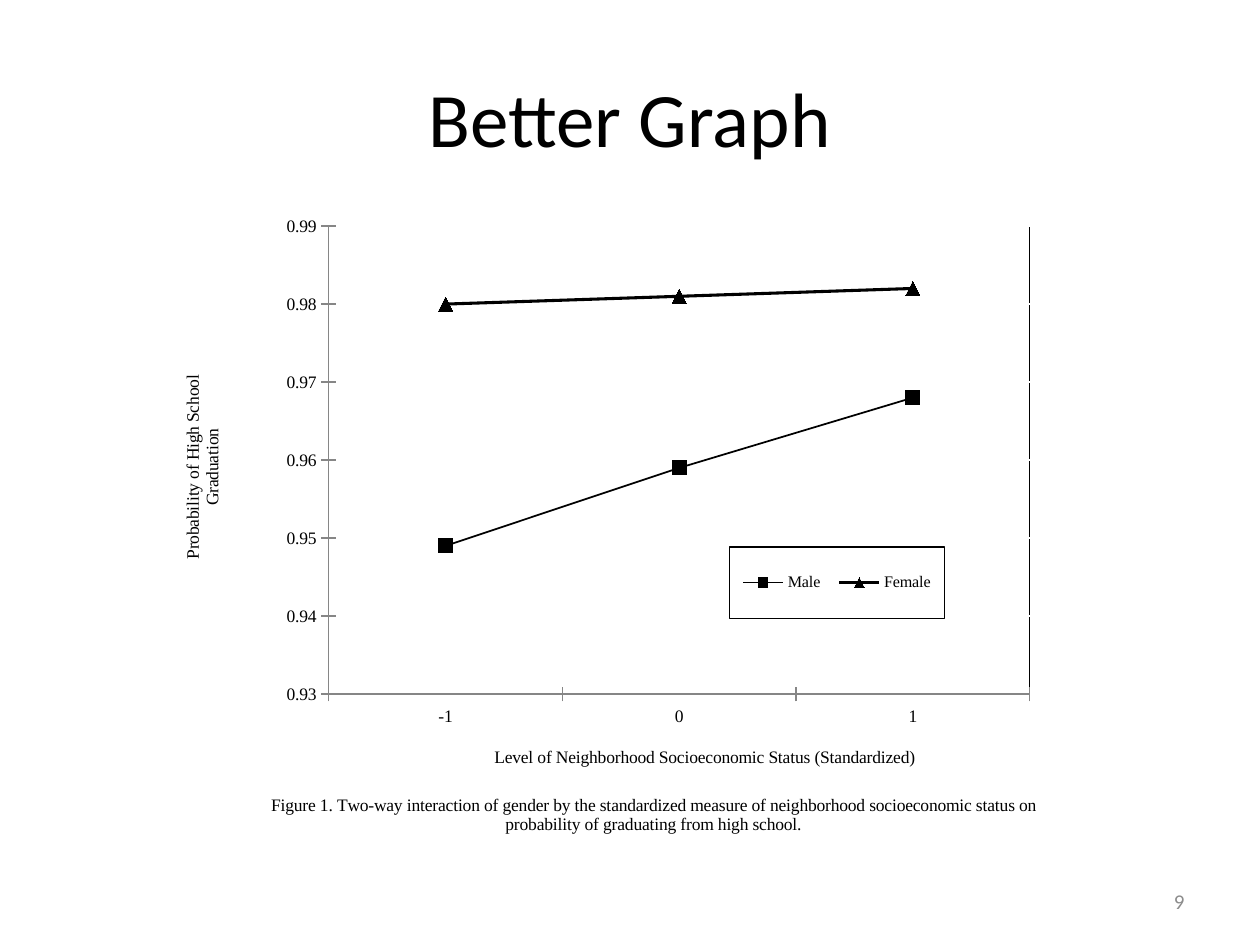
from lxml import etree
from pptx import Presentation
from pptx.chart.data import CategoryChartData
from pptx.dml.color import RGBColor
from pptx.enum.chart import XL_CHART_TYPE as ChartType
from pptx.enum.chart import XL_LEGEND_POSITION as LegendPosition
from pptx.enum.chart import XL_MARKER_STYLE as Marker
from pptx.enum.chart import XL_TICK_MARK as TickMark
from pptx.enum.text import MSO_ANCHOR as Anchor
from pptx.enum.text import PP_ALIGN as Align
from pptx.oxml import parse_xml
from pptx.oxml.ns import nsdecls, qn
from pptx.util import Inches, Pt

BLACK = RGBColor(0x00, 0x00, 0x00)
WHITE = RGBColor(0xFF, 0xFF, 0xFF)
GRAY = RGBColor(0x8C, 0x8C, 0x8C)
AXIS_GRAY = RGBColor(0x86, 0x86, 0x86)
SANS, SERIF = "Calibri", "Times New Roman"

CAPTION = ("Figure 1. Two-way interaction of gender by the standardized measure of "
           "neighborhood socioeconomic status on probability of graduating from high school.")
LEVEL_TITLE = "Level of Neighborhood Socioeconomic Status (Standardized)"
PROBABILITY_TITLE = "Probability of High School\nGraduation"
LEVELS = ["-1", "0", "1"]
# name, values, line width, marker
SERIES = [
    ("Male", (0.949, 0.959, 0.968), 1, Marker.SQUARE),
    ("Female", (0.980, 0.981, 0.982), 1.75, Marker.TRIANGLE),
]


def style_font(font, size, color=BLACK, name=SERIF):
    font.size, font.name, font.bold = Pt(size), name, False
    font.color.rgb = color


def add_text(page, text, at, size, color=BLACK, name=SANS, align=Align.CENTER):
    frame = page.shapes.add_textbox(*map(Inches, at)).text_frame
    frame.word_wrap = True
    frame.vertical_anchor = Anchor.MIDDLE
    para = frame.paragraphs[0]
    para.alignment = align
    span = para.add_run()
    span.text = text
    style_font(span.font, size, color, name)


def place(element, inner=False, **fractions):
    """Give a chart part a fixed place, in fractions of the chart."""
    for old in element.findall(qn("c:layout")):
        element.remove(old)
    layout = etree.Element(qn("c:layout"))
    manual = etree.SubElement(layout, qn("c:manualLayout"))
    settings = {"layoutTarget": "inner"} if inner else {}
    settings |= {"xMode": "edge", "yMode": "edge"} | fractions
    for key, value in settings.items():
        etree.SubElement(manual, qn(f"c:{key}")).set("val", str(value))
    leads = (qn("c:tx"), qn("c:legendPos"))
    element.insert(1 if element[0].tag in leads else 0, layout)


def set_title(owner, text, **fractions):
    """Title a chart or an axis."""
    title = getattr(owner, "chart_title", None) or owner.axis_title
    title.text_frame.text = text
    for para in title.text_frame.paragraphs:
        para.alignment = Align.CENTER
        style_font(para.font, 10)
        for span in para.runs:
            style_font(span.font, 10)
    place(title._element, **fractions)


def outline(element):
    """Return shape properties with no fill and a thin black line."""
    return parse_xml(
        f'<c:spPr {nsdecls("c", "a")}><a:noFill/><a:ln w="9525"><a:solidFill>'
        f'<a:srgbClr val="{BLACK}"/></a:solidFill></a:ln></c:spPr>')


def add_graph(page):
    data = CategoryChartData(number_format="0.00")
    data.categories = LEVELS
    for name, values, *_ in SERIES:
        data.add_series(name, values)
    box = map(Inches, (1, 1.5, 8.05, 5.36))
    chart = page.shapes.add_chart(ChartType.LINE_MARKERS, *box, data).chart
    style_font(chart.font, 10)
    chart.plots[0].vary_by_categories = False

    for series, (_, _, width, marker) in zip(chart.plots[0].series, SERIES):
        series.smooth = False
        series.format.line.width = Pt(width)
        series.format.line.color.rgb = BLACK
        series.marker.style, series.marker.size = marker, 8
        series.marker.format.fill.solid()
        series.marker.format.fill.fore_color.rgb = BLACK
        series.marker.format.line.color.rgb = BLACK

    for axis in (chart.category_axis, chart.value_axis):
        axis.major_tick_mark, axis.minor_tick_mark = TickMark.CROSS, TickMark.NONE
        axis.format.line.color.rgb = AXIS_GRAY
        style_font(axis.tick_labels.font, 10)
    scale = chart.value_axis
    scale.minimum_scale, scale.maximum_scale, scale.major_unit = 0.93, 0.99, 0.01
    scale.tick_labels.number_format = "0.00"
    scale.tick_labels.number_format_is_linked = False
    scale.has_major_gridlines = True
    scale.major_gridlines.format.line.color.rgb = WHITE
    scale.major_gridlines.format.line.width = Pt(0.75)

    set_title(chart, CAPTION, x=0.14, y=0.89)
    set_title(chart.category_axis, LEVEL_TITLE, x=0.36, y=0.82)
    set_title(scale, PROBABILITY_TITLE, x=0.05, y=0.27)

    plot_area = chart._chartSpace.chart.plotArea
    place(plot_area, inner=True, x=0.2, y=0.055, w=0.691, h=0.693)
    plot_area.append(outline(plot_area))

    chart.has_legend = True
    chart.legend.position = LegendPosition.RIGHT
    chart.legend.include_in_layout = False
    style_font(chart.legend.font, 9.2)
    legend = chart.legend._element
    place(legend, x=0.595, y=0.53, w=0.212, h=0.106)
    legend.find(qn("c:txPr")).addprevious(outline(legend))


def main():
    deck = Presentation()
    deck.slide_width, deck.slide_height = Inches(10), Inches(7.5)
    page = deck.slides.add_slide(deck.slide_layouts[6])
    add_text(page, "Better Graph", (0.5, 0.3, 9, 1.25), 44)
    add_graph(page)
    add_text(page, "9", (7.17, 6.95, 2.33, 0.4), 12, color=GRAY, align=Align.RIGHT)
    deck.save("out.pptx")


if __name__ == "__main__":
    main()
